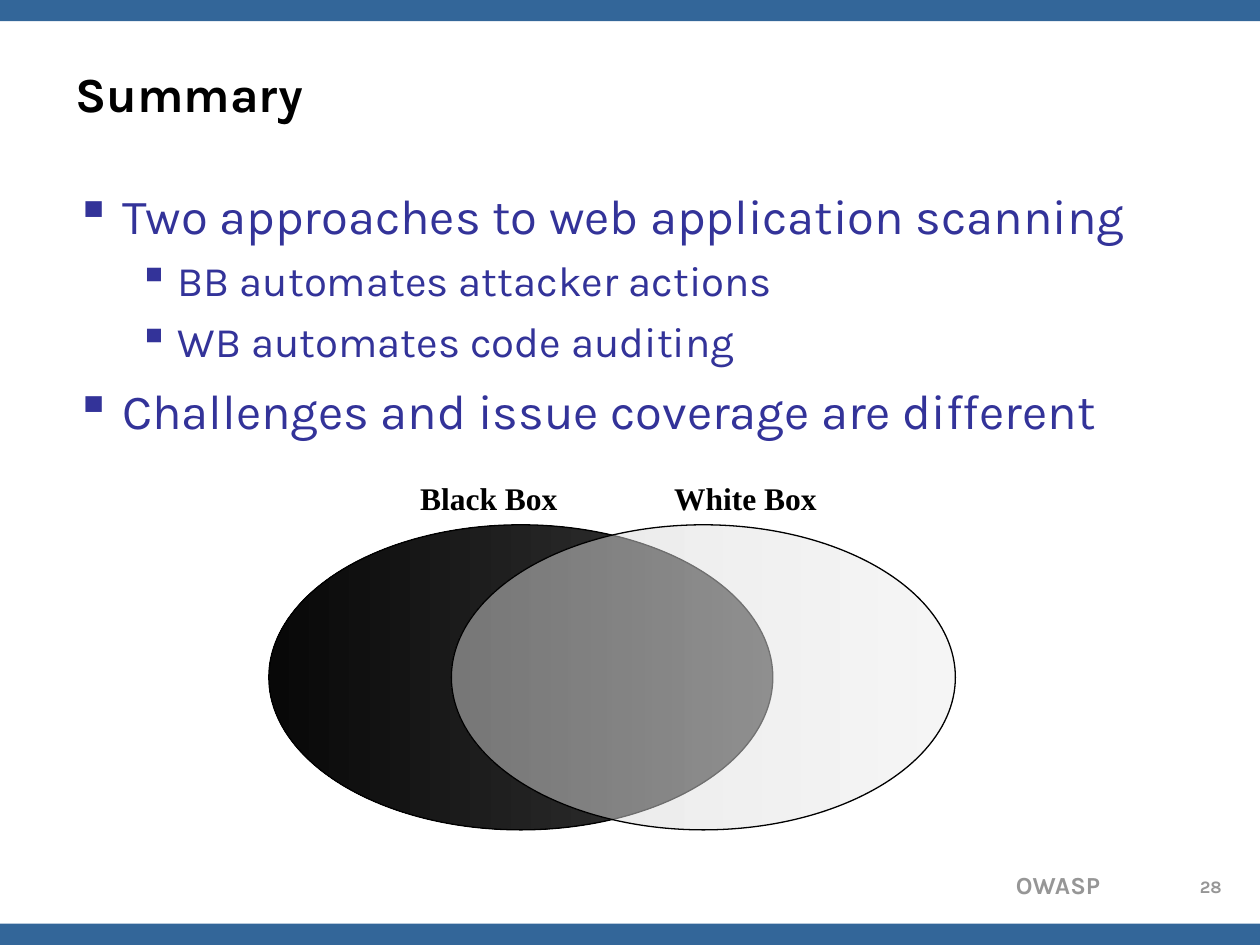
from lxml import etree
from pptx import Presentation
from pptx.dml.color import RGBColor
from pptx.enum.shapes import MSO_SHAPE
from pptx.enum.text import MSO_ANCHOR, PP_ALIGN
from pptx.oxml.ns import qn
from pptx.util import Cm, Pt

RECTANGLE, OVAL = MSO_SHAPE.RECTANGLE, MSO_SHAPE.OVAL
LEFT, CENTER, RIGHT = PP_ALIGN.LEFT, PP_ALIGN.CENTER, PP_ALIGN.RIGHT
TOP, MIDDLE = MSO_ANCHOR.TOP, MSO_ANCHOR.MIDDLE

PAGE_WIDTH, PAGE_HEIGHT = 25.4, 19.05
BAR_HEIGHT = 0.43
BLUE, INDIGO, GREY, BLACK = "336699", "333399", "969696", "000000"

# Level: (left margin in cm, hanging indent in cm, text size in points)
LEVELS = [(0.95, 0.95, 28), (2.06, 0.79, 24)]

# Text, level, space before in points
BULLETS = [
    ("Two approaches to web application scanning", 0, 0),
    ("BB automates attacker actions", 1, 6),
    ("WB automates code auditing", 1, 6),
    ("Challenges and issue coverage are different", 0, 8.5),
]


def color(hex_string):
    return RGBColor.from_string(hex_string)


def add_bullet(para, margin, hanging, hex_string):
    """Give the paragraph a hanging square bullet; lengths are in cm."""
    properties = para._p.get_or_add_pPr()
    properties.set("marL", str(Cm(margin)))
    properties.set("indent", str(-Cm(hanging)))
    bullet_color = etree.SubElement(properties, qn("a:buClr"))
    etree.SubElement(bullet_color, qn("a:srgbClr"), val=hex_string)
    etree.SubElement(properties, qn("a:buChar"), char="▪")


class SlideBuilder:
    """Holds the text style and the current slide; lengths are in cm."""

    def __init__(self, page, font="Karla"):
        self.page = page
        self.font = font

    def shape(self, kind, left, top, width, height):
        shape = self.page.shapes.add_shape(
            kind, Cm(left), Cm(top), Cm(width), Cm(height))
        shape.shadow.inherit = False
        return shape

    def bar(self, top):
        bar = self.shape(RECTANGLE, 0, top, PAGE_WIDTH, BAR_HEIGHT)
        bar.fill.solid()
        bar.fill.fore_color.rgb = color(BLUE)
        bar.line.fill.background()

    def ellipse(self, left, top, width, height, stops, opacity=100):
        """Draw an outlined ellipse shaded from right to left."""
        ellipse = self.shape(OVAL, left, top, width, height)
        ellipse.fill.gradient()
        ellipse.fill.gradient_angle = 180
        for stop, hex_string in zip(ellipse.fill.gradient_stops, stops):
            stop.color.rgb = color(hex_string)
        if opacity < 100:
            gradient = ellipse._element.spPr.find(qn("a:gradFill"))
            for stop_color in gradient.iter(qn("a:srgbClr")):
                etree.SubElement(stop_color, qn("a:alpha"),
                                 val=str(opacity * 1000))
        ellipse.line.color.rgb = color(BLACK)
        ellipse.line.width = Pt(0.75)

    def box(self, left, top, width, height, anchor=TOP):
        box = self.page.shapes.add_textbox(
            Cm(left), Cm(top), Cm(width), Cm(height))
        box.text_frame.word_wrap = True
        box.text_frame.vertical_anchor = anchor
        return box.text_frame

    def style(self, para, size, hex_string, bold, font=None):
        for span in para.runs:
            span.font.name = font or self.font
            span.font.size = Pt(size)
            span.font.bold = bold
            span.font.color.rgb = color(hex_string)

    def label(self, text, place, size, hex_string,
              align=LEFT, anchor=TOP, font=None):
        """Add one line of bold text; place is left, top, width, height."""
        frame = self.box(*place, anchor=anchor)
        frame.text = text
        para = frame.paragraphs[0]
        para.alignment = align
        self.style(para, size, hex_string, True, font)

    def bullets(self, items, place):
        frame = self.box(*place)
        frame.text = "\n".join(text for text, _, _ in items)
        for para, (_, level, space) in zip(frame.paragraphs, items):
            margin, hanging, size = LEVELS[level]
            add_bullet(para, margin, hanging, INDIGO)
            para.level = level
            para.space_before = Pt(space)
            self.style(para, size, INDIGO, False)


def main():
    deck = Presentation()
    deck.slide_width, deck.slide_height = Cm(PAGE_WIDTH), Cm(PAGE_HEIGHT)
    builder = SlideBuilder(deck.slides.add_slide(deck.slide_layouts[6]))

    for top in (0, PAGE_HEIGHT - BAR_HEIGHT):
        builder.bar(top)
    builder.label("OWASP", (15.8, 17.42, 6.63, 0.86), 14, GREY, RIGHT)
    builder.label("Summary", (1.27, 0.76, 22.86, 2.21), 28, BLACK,
                  anchor=MIDDLE)
    builder.bullets(BULLETS, (1.27, 3.61, 22.86, 13.41))

    venn_top, venn_width, venn_height = 10.58, 10.16, 6.15
    builder.ellipse(5.42, venn_top, venn_width, venn_height,
                    ("3A3A3A", "080808"))
    builder.ellipse(9.1, venn_top, venn_width, venn_height,
                    ("ECECEC", "D3D3D3"), opacity=50)
    for text, left in (("Black Box", 8.22), ("White Box", 13.34)):
        builder.label(text, (left, 9.53, 4.45, 1.02), 18, BLACK,
                      font="Times New Roman")

    builder.label("28", (23.85, 17.53, 1.12, 0.64), 10, GREY, CENTER)
    deck.save("out.pptx")


if __name__ == "__main__":
    main()
